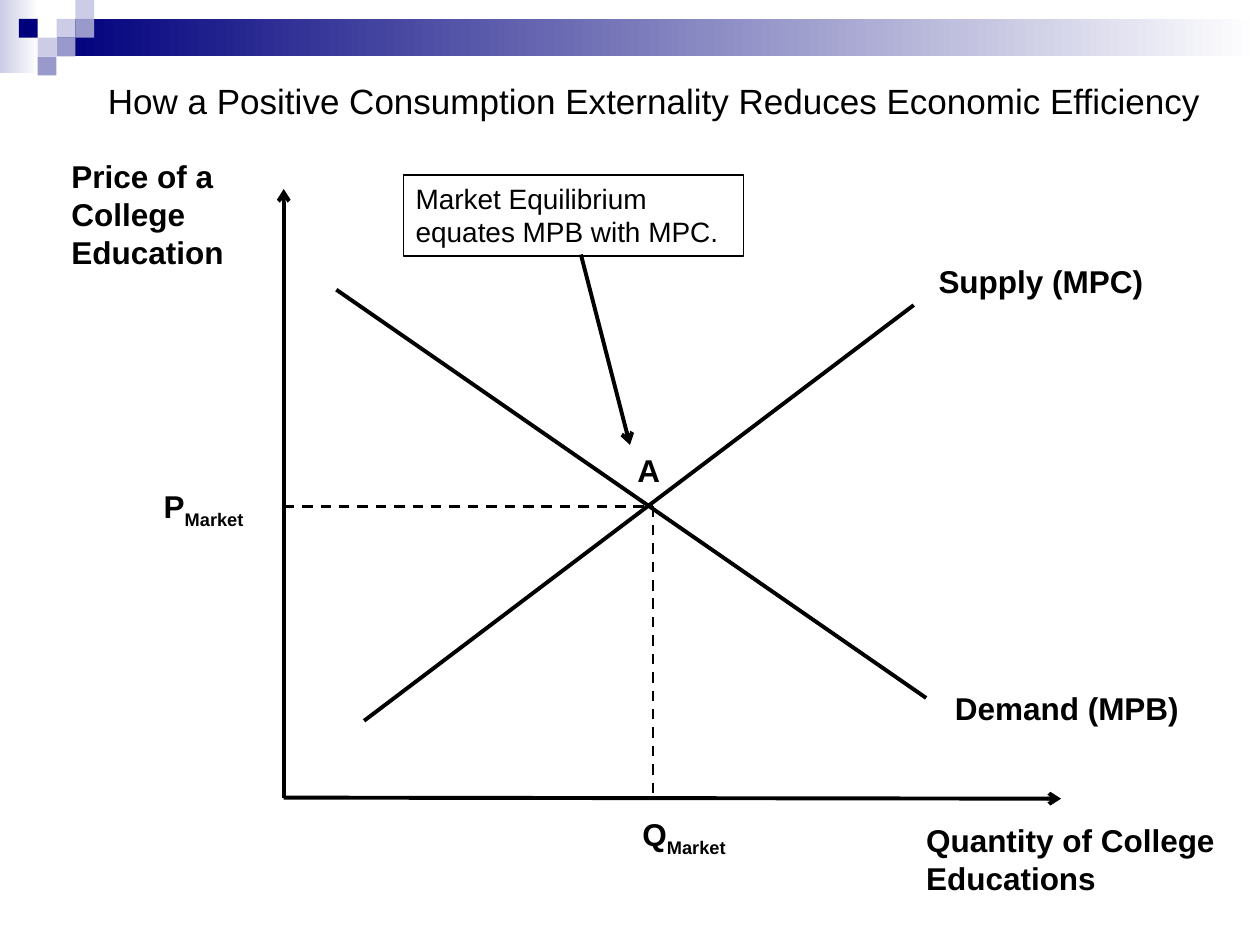
import pptx
import pptx.util
import pptx.dml.color
import pptx.enum.dml
import pptx.enum.shapes
import pptx.enum.text
import pptx.oxml
import pptx.oxml.ns
from dataclasses import dataclass

Cm, Pt = pptx.util.Cm, pptx.util.Pt
RGB = pptx.dml.color.RGBColor.from_string


@dataclass(frozen=True)
class Theme:
    font: str = "Arial"
    ink: str = "000000"
    paper: str = "FFFFFF"
    navy: str = "00007D"
    lilac: str = "CCCCE6"
    violet: str = "9999CC"
    title: int = 20
    label: int = 18
    note: int = 16
    curve: float = 2.25
    guide: float = 1.5
    border: float = 0.75


THEME = Theme()

# All positions below are in centimetres.
TITLE = "How a Positive Consumption Externality Reduces Economic Efficiency"
TITLE_BOX = (1.52, 1.47, 23.34, 1.12)

TILE = 0.38
BANDS = [  # left, top, width, height, first colour
    (0, 0, 0.79, 1.47, THEME.lilac),
    (1.14, TILE, 24.26, 0.76, THEME.navy),
]
TILES = [  # column, row, colour
    (3, 1, THEME.lilac), (4, 0, THEME.lilac), (4, 1, THEME.violet),
    (2, 2, THEME.lilac), (1, 1, THEME.navy), (3, 2, THEME.violet),
    (2, 3, THEME.violet),
]

ORIGIN = (5.72, 16.08)
EQUILIBRIUM = (13.16, 10.21)
LINES = [  # start, end, weight, style
    (ORIGIN, (5.72, 3.81), THEME.curve, "arrow"),
    (ORIGIN, (21.39, 16.1), THEME.curve, "arrow"),
    ((7.34, 14.53), (18.42, 6.15), THEME.curve, "plain"),
    ((6.78, 5.84), (18.67, 14.07), THEME.curve, "plain"),
    (EQUILIBRIUM, (EQUILIBRIUM[0], ORIGIN[1]), THEME.guide, "dash"),
    ((ORIGIN[0], EQUILIBRIUM[1]), EQUILIBRIUM, THEME.guide, "dash"),
    ((11.71, 5.13), (12.7, 8.97), THEME.curve, "arrow"),
]

LABELS = [  # text, subscript, box, wraps
    ("Price of a College Education", "", (1.19, 3.05, 3.61, 2.57), True),
    ("Quantity of College Educations", "", (18.42, 16.43, 6.55, 1.8), True),
    ("Supply (MPC)", "", (18.67, 5.16, 4.67, 1.02), False),
    ("Demand (MPB)", "", (19, 13.77, 5.08, 1.02), False),
    ("P", "Market", (3.05, 9.7, 2.31, 1.02), False),
    ("Q", "Market", (12.7, 16.31, 2.39, 1.02), False),
    ("A", "", (12.6, 8.97, 0.84, 1.02), True),
]

NOTE = "Market Equilibrium equates MPB with MPC."
NOTE_BOX = (8.13, 3.53, 6.86, 1.63)


def style(para, size, bold=False):
    para.font.name = THEME.font
    para.font.size = Pt(size)
    para.font.bold = bold
    para.font.color.rgb = RGB(THEME.ink)


def add_rectangle(page, box):
    shape = page.shapes.add_shape(
        pptx.enum.shapes.MSO_SHAPE.RECTANGLE, *map(Cm, box))
    shape.shadow.inherit = False
    shape.line.fill.background()
    return shape


def add_banner(page):
    for *box, colour in BANDS:
        band = add_rectangle(page, box)
        band.fill.gradient()
        band.fill.gradient_angle = 0
        for stop, shade in zip(band.fill.gradient_stops, (colour, THEME.paper)):
            stop.color.rgb = RGB(shade)
    for column, row, colour in TILES:
        tile = add_rectangle(page, (column * TILE, row * TILE, TILE, TILE))
        tile.fill.solid()
        tile.fill.fore_color.rgb = RGB(colour)


def add_line(page, start, end, weight, kind):
    line = page.shapes.add_connector(
        pptx.enum.shapes.MSO_CONNECTOR.STRAIGHT, *map(Cm, start + end))
    line.line.color.rgb = RGB(THEME.ink)
    line.line.width = Pt(weight)
    if kind == "dash":
        line.line.dash_style = pptx.enum.dml.MSO_LINE.DASH
    elif kind == "arrow":
        head = pptx.oxml.parse_xml(
            f'<a:tailEnd {pptx.oxml.ns.nsdecls("a")} type="arrow"/>')
        line.line._get_or_add_ln().append(head)
    line._element.spPr.append(
        pptx.oxml.parse_xml(f'<a:effectLst {pptx.oxml.ns.nsdecls("a")}/>'))


def add_label(page, text, subscript, box, wraps):
    label = page.shapes.add_textbox(*map(Cm, box))
    label.text_frame.word_wrap = wraps
    para = label.text_frame.paragraphs[0]
    para.add_run().text = text
    if subscript:
        span = para.add_run()
        span.text = subscript
        span.font._element.set("baseline", "-25000")
    style(para, THEME.label, bold=True)


def add_note(page):
    note = add_rectangle(page, NOTE_BOX)
    note.fill.background()
    note.line.color.rgb = RGB(THEME.ink)
    note.line.width = Pt(THEME.border)
    frame = note.text_frame
    frame.word_wrap = True
    frame.vertical_anchor = pptx.enum.text.MSO_ANCHOR.TOP
    para = frame.paragraphs[0]
    para.text = NOTE
    para.alignment = pptx.enum.text.PP_ALIGN.LEFT
    style(para, THEME.note)


def set_title(page):
    title = page.shapes.title
    title.left, title.top, title.width, title.height = map(Cm, TITLE_BOX)
    title.text_frame.text = TITLE
    para = title.text_frame.paragraphs[0]
    para.alignment = pptx.enum.text.PP_ALIGN.CENTER
    style(para, THEME.title)


def main():
    deck = pptx.Presentation()
    deck.slide_width, deck.slide_height = Cm(25.4), Cm(19.05)
    page = deck.slides.add_slide(deck.slide_layouts.get_by_name("Title Only"))
    add_banner(page)
    set_title(page)
    for line in LINES:
        add_line(page, *line)
    for label in LABELS:
        add_label(page, *label)
    add_note(page)
    deck.save("out.pptx")


if __name__ == "__main__":
    main()
